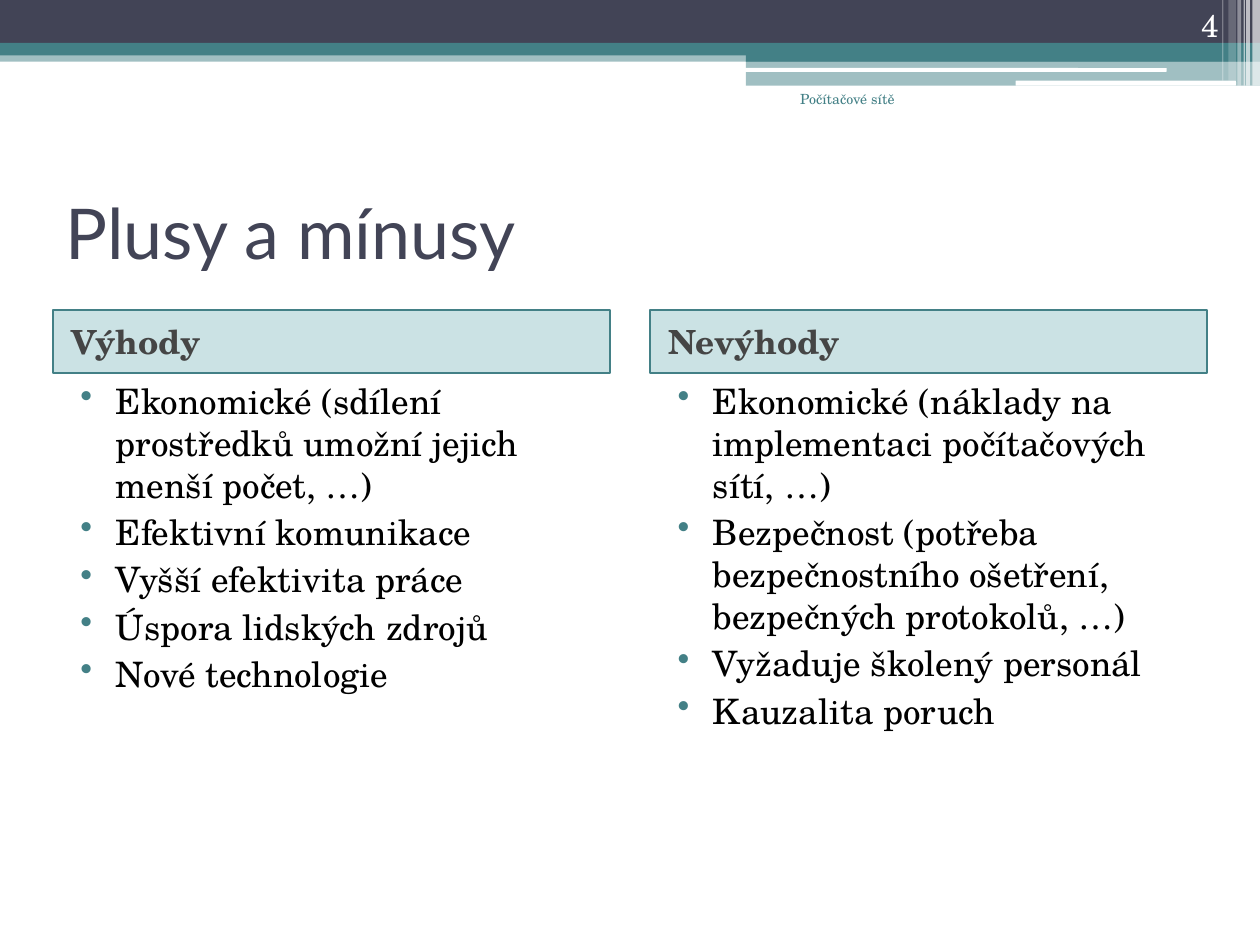
from lxml import etree
from pptx import Presentation
from pptx.dml.color import RGBColor
from pptx.enum.shapes import MSO_SHAPE
from pptx.enum.text import MSO_ANCHOR, PP_ALIGN
from pptx.oxml.ns import qn
from pptx.util import Inches, Pt

NAVY = RGBColor(0x42, 0x44, 0x56)
TEAL = RGBColor(0x43, 0x80, 0x86)
HEADING_FILL = RGBColor(0x32, 0x8E, 0x97)
HEADING_TEXT = RGBColor(0x45, 0x45, 0x45)
WHITE = RGBColor(0xFF, 0xFF, 0xFF)
BLACK = RGBColor(0x00, 0x00, 0x00)
BODY_FONT = "TeX Gyre Schola"
TITLE_FONT = "Lato"


def add_block(left, top, width, height, color, opacity=100, kind=MSO_SHAPE.RECTANGLE):
    block = page.shapes.add_shape(kind, Inches(left), Inches(top), Inches(width), Inches(height))
    block.shadow.inherit = False
    block.fill.solid()
    block.fill.fore_color.rgb = color
    block.line.fill.background()
    if opacity < 100:
        color_node = block.fill._xPr.find(".//" + qn("a:srgbClr"))
        etree.SubElement(color_node, qn("a:alpha"), val=str(opacity * 1000))
    return block


def write_text(shape, lines, size, color, anchor=MSO_ANCHOR.TOP, align=PP_ALIGN.LEFT, font=BODY_FONT):
    frame = shape.text_frame
    frame.word_wrap = True
    frame.vertical_anchor = anchor
    frame.text = "\n".join(lines)
    for para in frame.paragraphs:
        para.alignment = align
        para.font.name = font
        para.font.size = Pt(size)
        para.font.color.rgb = color
    return frame.paragraphs


deck = Presentation()
deck.slide_width = Inches(10)
deck.slide_height = Inches(7.5)
page = deck.slides.add_slide(deck.slide_layouts[5])

bands = [
    (0, 0.4, 10, 0.09, TEAL, 50),
    (0, 0, 10, 0.34, NAVY, 100),
    (0, 0.34, 10, 0.1, TEAL, 100),
    (5.92, 0.39, 4.08, 0.1, TEAL, 100),
    (5.92, 0.48, 4.08, 0.2, TEAL, 50),
]
for band in bands:
    add_block(*band)

for left, top, width, height in [(5.91, 0.54, 3.35, 0.03), (8.06, 0.64, 1.75, 0.04)]:
    add_block(left, top, width, height, WHITE, kind=MSO_SHAPE.ROUNDED_RECTANGLE)

stripes = [
    (9.94, 0.06, 0.68, 65),
    (9.89, 0.03, 0.68, 65),
    (9.87, 0.01, 0.68, 60),
    (9.82, 0.03, 0.68, 40),
    (9.75, 0.06, 0.64, 20),
    (9.7, 0.01, 0.64, 30),
]
for left, width, height, opacity in stripes:
    add_block(left, 0, width, height, WHITE, opacity)

title = page.shapes.title
title.left, title.top = Inches(0.42), Inches(1.25)
title.width, title.height = Inches(9.17), Inches(1.17)
write_text(title, ["Plusy a mínusy"], 40, NAVY, MSO_ANCHOR.MIDDLE, font=TITLE_FONT)

columns = [
    (0.42, "Výhody", [
        "Ekonomické (sdílení prostředků umožní jejich menší počet, …)",
        "Efektivní komunikace",
        "Vyšší efektivita práce",
        "Úspora lidských zdrojů",
        "Nové technologie",
    ]),
    (5.16, "Nevýhody", [
        "Ekonomické (náklady na implementaci počítačových sítí, …)",
        "Bezpečnost (potřeba bezpečnostního ošetření, bezpečných protokolů, …)",
        "Vyžaduje školený personál",
        "Kauzalita poruch",
    ]),
]
for left, heading, points in columns:
    heading_box = add_block(left, 2.46, 4.42, 0.5, HEADING_FILL, 25)
    heading_box.line.color.rgb = TEAL
    heading_box.line.width = Pt(1)
    for para in write_text(heading_box, [heading], 19, HEADING_TEXT, MSO_ANCHOR.MIDDLE):
        para.font.bold = True
        para.space_before = Pt(3)
        para._p.get_or_add_pPr().set("marL", str(Inches(0.05)))

    list_box = page.shapes.add_textbox(Inches(left), Inches(2.96), Inches(4.42), Inches(4.25))
    for para in write_text(list_box, points, 20, BLACK):
        para.space_before = Pt(3)
        properties = para._p.get_or_add_pPr()
        properties.set("marL", str(Inches(0.4)))
        properties.set("indent", str(Inches(-0.28)))
        bullet_color = etree.Element(qn("a:buClr"))
        etree.SubElement(bullet_color, qn("a:srgbClr"), val=str(TEAL))
        bullet = etree.Element(qn("a:buChar"), char="•")
        defaults = properties.find(qn("a:defRPr"))
        defaults.addprevious(bullet_color)
        defaults.addprevious(bullet)

number_box = page.shapes.add_textbox(Inches(8.94), Inches(0), Inches(0.83), Inches(0.4))
write_text(number_box, ["4"], 18, WHITE, MSO_ANCHOR.BOTTOM, PP_ALIGN.RIGHT)

footer_box = page.shapes.add_textbox(Inches(5.75), Inches(0.67), Inches(1.45), Inches(0.5))
write_text(footer_box, ["Počítačové sítě"], 8, TEAL, align=PP_ALIGN.RIGHT)

deck.save("out.pptx")
